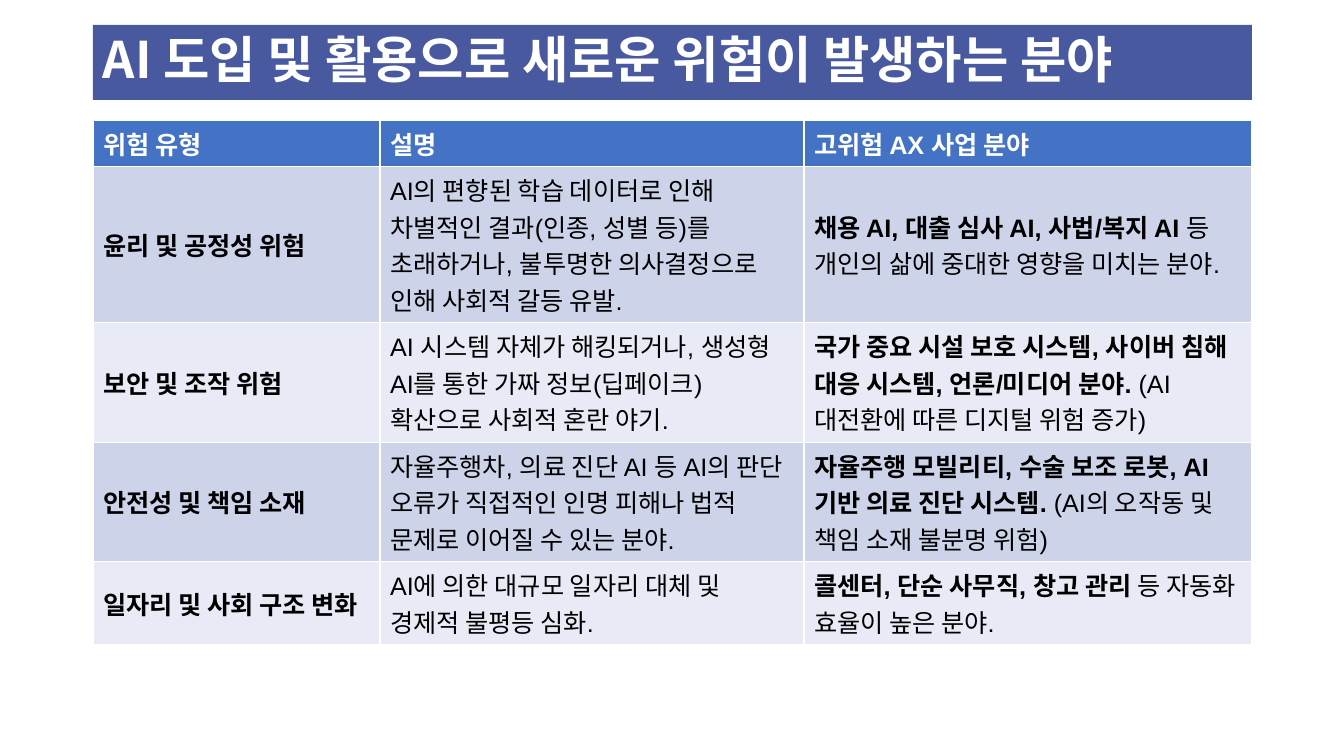
from dataclasses import dataclass

from pptx import Presentation
from pptx.dml.color import RGBColor
from pptx.enum.shapes import MSO_SHAPE as Shape
from pptx.enum.text import MSO_ANCHOR as Anchor, PP_ALIGN as Align
from pptx.oxml.ns import qn
from pptx.util import Emu, Pt
from lxml.etree import SubElement


@dataclass(frozen=True)
class Theme:
    banner: str = "48599F"
    header: str = "4472C4"
    bands: tuple = ("CDD4EA", "E8EBF5")
    light: str = "FFFFFF"
    dark: str = "000000"
    title_size: int = 36
    body_size: int = 18
    body_font: str = "Arial"
    korean_font: str = "Noto Sans CJK KR"


THEME = Theme()
EMU_PER_PX = 914400 / 100.8

TITLE = "AI 도입 및 활용으로 새로운 위험이 발생하는 분야"
HEADINGS = ("위험 유형", "설명", "고위험 AX 사업 분야")
# Each risk: type, description, high-risk fields in bold, remark in regular weight
RISKS = (
    ("윤리 및 공정성 위험",
     "AI의 편향된 학습 데이터로 인해 차별적인 결과(인종, 성별 등)를 초래하거나, "
     "불투명한 의사결정으로 인해 사회적 갈등 유발.",
     "채용 AI, 대출 심사 AI, 사법/복지 AI",
     " 등 개인의 삶에 중대한 영향을 미치는 분야."),
    ("보안 및 조작 위험",
     "AI 시스템 자체가 해킹되거나, 생성형 AI를 통한 가짜 정보(딥페이크) "
     "확산으로 사회적 혼란 야기.",
     "국가 중요 시설 보호 시스템, 사이버 침해 대응 시스템, 언론/미디어 분야.",
     " (AI 대전환에 따른 디지털 위험 증가)"),
    ("안전성 및 책임 소재",
     "자율주행차, 의료 진단 AI 등 AI의 판단 오류가 직접적인 인명 피해나 "
     "법적 문제로 이어질 수 있는 분야.",
     "자율주행 모빌리티, 수술 보조 로봇, AI 기반 의료 진단 시스템.",
     " (AI의 오작동 및 책임 소재 불분명 위험)"),
    ("일자리 및 사회 구조 변화",
     "AI에 의한 대규모 일자리 대체 및 경제적 불평등 심화.",
     "콜센터, 단순 사무직, 창고 관리",
     " 등 자동화 효율이 높은 분야."),
)
COLUMN_WIDTHS = (287, 424, 448)
ROW_HEIGHT = 41


def px(length):
    return Emu(round(length * EMU_PER_PX))


def paint(fill, color):
    fill.solid()
    fill.fore_color.rgb = RGBColor.from_string(color)


def add_run(paragraph, text, color, **font_format):
    """Append a run, with the Korean face set beside the Latin one."""
    run = paragraph.add_run()
    run.text = text
    for attribute, value in font_format.items():
        setattr(run.font, attribute, value)
    run.font.color.rgb = RGBColor.from_string(color)
    SubElement(run.font._element, qn("a:ea"), typeface=THEME.korean_font)


def add_title(slide, left, top, width, height):
    banner = slide.shapes.add_shape(
        Shape.RECTANGLE, px(left), px(top), px(width), px(height))
    banner.shadow.inherit = False
    paint(banner.fill, THEME.banner)
    banner.line.fill.background()
    frame = banner.text_frame
    frame.word_wrap = True
    frame.vertical_anchor = Anchor.MIDDLE
    heading = frame.paragraphs[0]
    heading.alignment = Align.LEFT
    heading.line_spacing = 0.9
    add_run(heading, TITLE, THEME.light, name=THEME.korean_font,
            size=Pt(THEME.title_size), bold=True)


def fill_cell(cell, background, color, runs):
    """Write (text, bold) runs into a cell on the given background."""
    paint(cell.fill, background)
    cell.vertical_anchor = Anchor.MIDDLE
    for text, bold in runs:
        add_run(cell.text_frame.paragraphs[0], text, color,
                name=THEME.body_font, size=Pt(THEME.body_size), bold=bold)


def add_risk_table(slide, left, top):
    """Place the table; its rows grow downwards to fit their text."""
    row_count = len(RISKS) + 1
    table = slide.shapes.add_table(
        row_count, len(HEADINGS), px(left), px(top),
        px(sum(COLUMN_WIDTHS)), px(row_count * ROW_HEIGHT)).table
    for column, width in zip(table.columns, COLUMN_WIDTHS):
        column.width = px(width)
    for cell, heading in zip(table.rows[0].cells, HEADINGS):
        fill_cell(cell, THEME.header, THEME.light, [(heading, True)])
    for index, (risk, description, fields, remark) in enumerate(RISKS):
        band = THEME.bands[index % len(THEME.bands)]
        contents = ([(risk, True)], [(description, False)],
                    [(fields, True), (remark, False)])
        for cell, runs in zip(table.rows[index + 1].cells, contents):
            fill_cell(cell, band, THEME.dark, runs)


def main():
    deck = Presentation()
    deck.slide_width, deck.slide_height = px(1344), px(756)
    slide = deck.slides.add_slide(deck.slide_layouts[6])
    add_title(slide, 93, 25, sum(COLUMN_WIDTHS), 75)
    add_risk_table(slide, 93, 120)
    deck.save("out.pptx")


if __name__ == "__main__":
    main()
